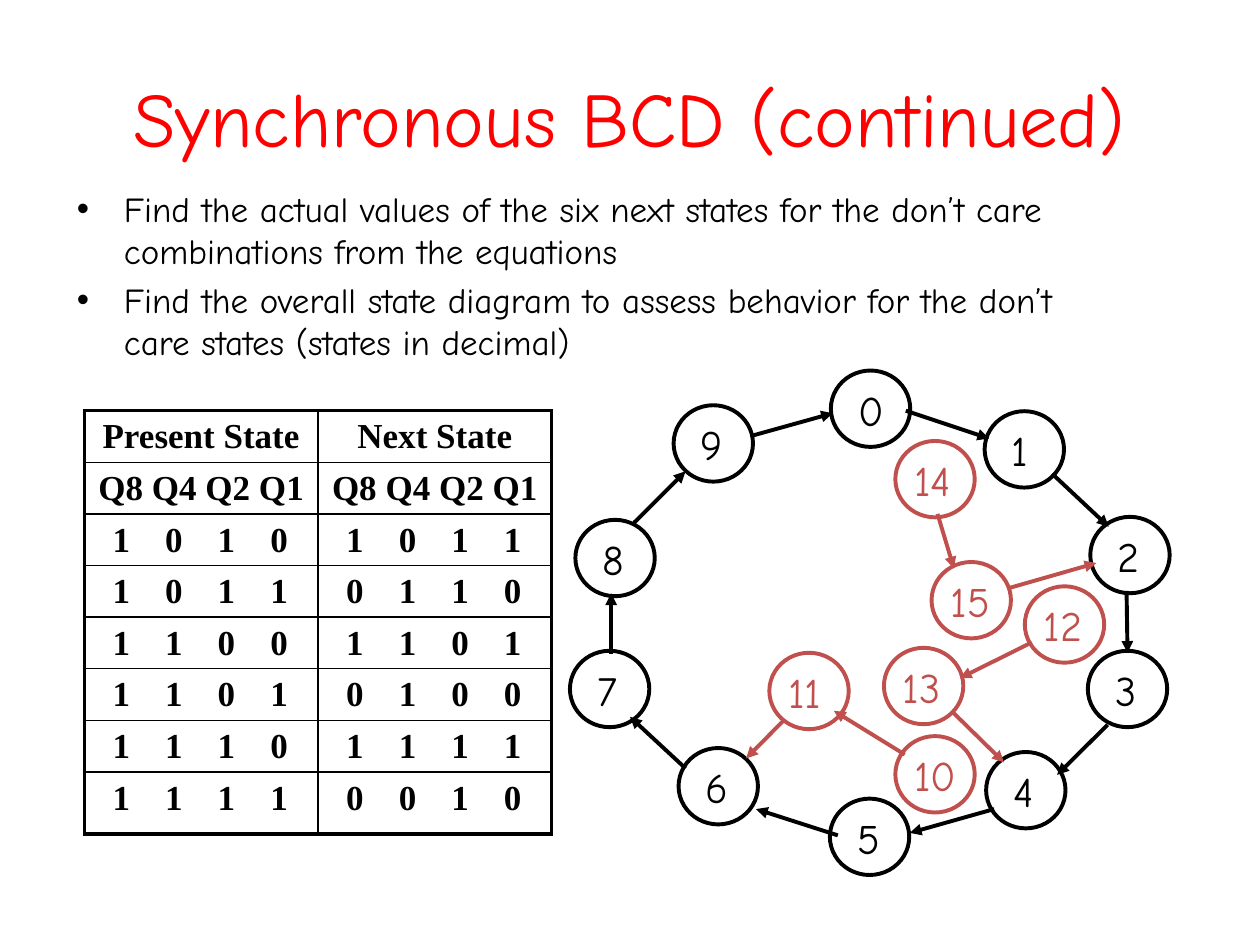
from lxml.etree import SubElement
from pptx import Presentation
from pptx.dml.color import RGBColor
from pptx.enum.shapes import MSO_CONNECTOR, MSO_SHAPE
from pptx.enum.text import MSO_ANCHOR, PP_ALIGN
from pptx.oxml.ns import qn
from pptx.util import Cm, Pt

INK = {"black": "000000", "title": "FF0000", "red": "C0504D"}
HAND, SERIF = "Comic Neue", "Times New Roman"
THICK, THIN = 2.25, 1
WIDE, HIGH = 1.6, 1.54  # size of a state circle
STEP = 1.06  # gap between bits in the table

POINTS = [
    "Find the actual values of the six next states for the don’t care "
    "combinations from the equations",
    "Find the overall state diagram to assess behavior for the don’t "
    "care states (states in decimal)",
]
HEADS = [("Present State", "Next State"), ("Q8 Q4 Q2 Q1", "Q8 Q4 Q2 Q1")]
# Next state of each unused state
MOVES = {10: 11, 11: 6, 12: 13, 13: 4, 14: 15, 15: 2}

# Centre of each state, 0 to 15
STATES = [
    (17.55, 8.24), (20.65, 9.06), (22.78, 11.19), (22.73, 13.89),
    (20.68, 15.93), (17.53, 16.87), (14.48, 15.85), (12.29, 13.89),
    (12.4, 11.25), (14.38, 8.94), (18.85, 15.61), (16.31, 13.93),
    (21.46, 12.59), (18.62, 13.83), (18.85, 9.66), (19.58, 12.1),
]
# Arrow leaving each state, 0 to 15: start x, y and end x, y
ARROWS = [
    (18.26, 8.28, 19.94, 8.84), (21.21, 9.55, 22.35, 10.62),
    (22.71, 11.91, 22.73, 13.16), (22.33, 14.61, 21.31, 15.62),
    (20.04, 16.31, 18.34, 16.79), (16.89, 16.84, 15.24, 16.31),
    (13.82, 15.49, 12.7, 14.45), (12.32, 13.18, 12.32, 11.96),
    (12.78, 10.54, 13.82, 9.5), (15.14, 8.79, 16.79, 8.33),
    (18.24, 15.21, 16.81, 14.33), (15.82, 14.5, 15.04, 15.29),
    (20.8, 12.95, 19.35, 13.67), (19.2, 14.35, 20.24, 15.37),
    (18.9, 10.36, 19.23, 11.46), (20.32, 11.86, 22.1, 11.35),
]


def tint(name):
    return RGBColor.from_string(INK[name])


def write(para, text, size=20, face=HAND, ink="black", bold=False,
          align=PP_ALIGN.LEFT, bullet=False, tabs=(), before=0):
    para.text = text
    para.alignment = align
    para.space_before = Pt(before)
    props = para._p.get_or_add_pPr()
    if bullet:
        props.set("marL", str(Cm(0.95)))
        props.set("indent", str(-Cm(0.95)))
        SubElement(props, qn("a:buFont"), typeface="Arial")
        SubElement(props, qn("a:buChar"), char="•")
    if tabs:
        stops = SubElement(props, qn("a:tabLst"))
        for stop in tabs:
            SubElement(stops, qn("a:tab"), pos=str(Cm(stop)), algn="l")
    font = para.font
    font.size, font.name, font.bold = Pt(size), face, bold
    font.color.rgb = tint(ink)


def add_box(slide, left, top, width, height):
    frame = slide.shapes.add_textbox(
        Cm(left), Cm(top), Cm(width), Cm(height)).text_frame
    frame.word_wrap = True
    return frame


def add_state(slide, num, ink):
    x, y = STATES[num]
    left, top = x - WIDE / 2, y - HIGH / 2
    ring = slide.shapes.add_shape(
        MSO_SHAPE.OVAL, Cm(left), Cm(top), Cm(WIDE), Cm(HIGH))
    ring.shadow.inherit = False
    ring.fill.background()
    ring.line.color.rgb = tint(ink)
    ring.line.width = Pt(THICK)
    inset = 0.3 if num < 10 else 0.13
    frame = add_box(slide, left + inset, top + 0.15, 1.6, 1.3)
    write(frame.paragraphs[0], str(num), size=24, ink=ink)


def add_arrow(slide, ends, ink):
    line = slide.shapes.add_connector(
        MSO_CONNECTOR.STRAIGHT, *[Cm(end) for end in ends])
    line.line.color.rgb = tint(ink)
    line.line.width = Pt(THICK)
    SubElement(line.line._get_or_add_ln(), qn("a:tailEnd"), type="triangle")
    SubElement(line._element.spPr, qn("a:effectLst"))


def add_edge(cell, side, width):
    edge = SubElement(cell._tc.get_or_add_tcPr(), qn("a:ln" + side),
                      w=str(Pt(width)))
    fill = SubElement(edge, qn("a:solidFill"))
    SubElement(fill, qn("a:srgbClr"), val=INK["black"])


def add_grid(slide):
    # Below the heads, each move is shown in bits set apart by tabs
    rows = HEADS + [["\t".join(f"{num:04b}") for num in move]
                    for move in MOVES.items()]
    last = len(rows) - 1
    grid = slide.shapes.add_table(
        len(rows), 2, Cm(1.7), Cm(8.28), Cm(9.42), Cm(8.53)).table
    grid.first_row = grid.horz_banding = False
    for col in grid.columns:
        col.width = Cm(4.71)
    for i, row in enumerate(rows):
        grid.rows[i].height = Cm(1.25 if i == last else 1.04)
        head = i < len(HEADS)
        for j, text in enumerate(row):
            cell = grid.cell(i, j)
            cell.margin_left = Cm(0.1 if head else 0.57)
            cell.margin_right = Cm(0.1)
            cell.margin_top, cell.margin_bottom = Cm(0.14), Cm(0.04)
            outer = {"L": j == 0, "R": j == 1, "T": i == 0, "B": i == last}
            for side, edge in outer.items():
                add_edge(cell, side, THICK if edge else THIN)
            cell.fill.background()
            write(cell.text_frame.paragraphs[0], text, face=SERIF, bold=True,
                  align=PP_ALIGN.CENTER if head else PP_ALIGN.LEFT,
                  tabs=() if head else [STEP * n for n in (1, 2, 3)])


def main():
    deck = Presentation()
    deck.slide_width, deck.slide_height = Cm(25.4), Cm(19.05)
    slide = deck.slides.add_slide(deck.slide_layouts[6])

    # Title
    frame = add_box(slide, 1.27, 0.76, 22.86, 3.18)
    frame.vertical_anchor = MSO_ANCHOR.MIDDLE
    write(frame.paragraphs[0], "Synchronous BCD (continued)", size=44,
          ink="title", align=PP_ALIGN.CENTER)

    # Bullet points
    frame = add_box(slide, 1.3, 3.66, 21.59, 14.27)
    for i, text in enumerate(POINTS):
        para = frame.add_paragraph() if i else frame.paragraphs[0]
        write(para, text, bullet=True, before=4 if i else 0)

    # Table of next states
    add_grid(slide)

    # State diagram
    for num, ends in enumerate(ARROWS):
        ink = "red" if num in MOVES else "black"
        add_state(slide, num, ink)
        add_arrow(slide, ends, ink)

    deck.save("out.pptx")


if __name__ == "__main__":
    main()
